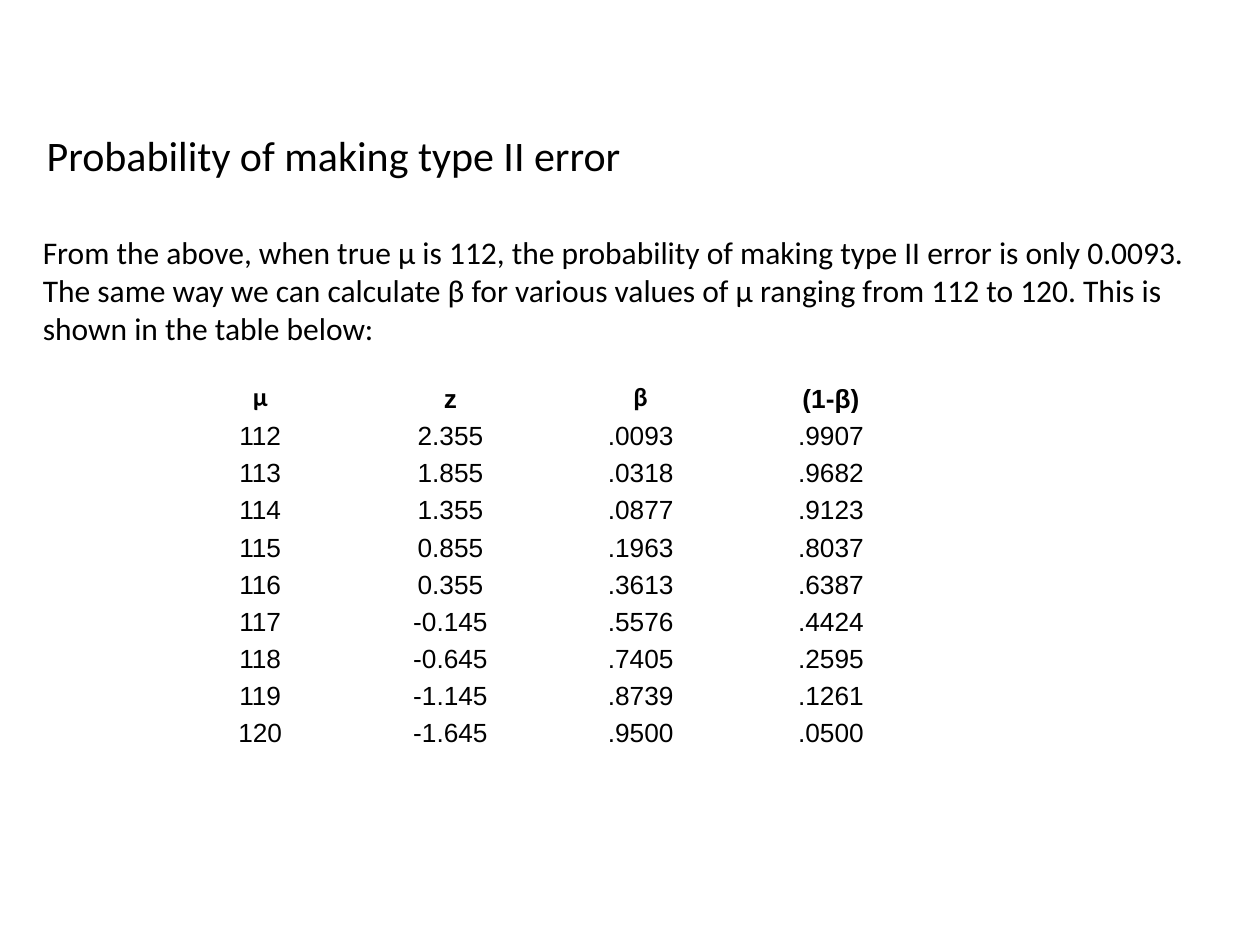
import pptx
import pptx.dml.color
import pptx.enum.text
import pptx.oxml
import pptx.oxml.ns
import pptx.util

Inches, Pt = pptx.util.Inches, pptx.util.Pt
ALIGN, ANCHOR = pptx.enum.text.PP_ALIGN, pptx.enum.text.MSO_ANCHOR
COLORS = {"text": "000000", "border": "FFFFFF"}

TITLE = "Probability of making type II error"
EXPLANATION = (
    "From the above, when true μ is 112, the probability of making type II error is only 0.0093. "
    "The same way we can calculate β for various values of μ ranging from 112 to 120. "
    "This is shown in the table below:"
)
HEADINGS = [("μ", "Calibri"), ("z", "Arial"), ("β", "Calibri"), ("(1-β)", "Arial")]
ERROR_RATES = [
    ("112", "2.355", ".0093", ".9907"),
    ("113", "1.855", ".0318", ".9682"),
    ("114", "1.355", ".0877", ".9123"),
    ("115", "0.855", ".1963", ".8037"),
    ("116", "0.355", ".3613", ".6387"),
    ("117", "-0.145", ".5576", ".4424"),
    ("118", "-0.645", ".7405", ".2595"),
    ("119", "-1.145", ".8739", ".1261"),
    ("120", "-1.645", ".9500", ".0500"),
]
COLUMN_WIDTH, ROW_HEIGHT = Inches(1.51), Inches(0.295)

CELL_FORMAT = {
    "margin_left": Inches(0.06), "margin_right": Inches(0.06),
    "margin_top": 0, "margin_bottom": 0, "vertical_anchor": ANCHOR.BOTTOM,
}
EXPLANATION_FORMAT = {
    "margin_left": Inches(0.07), "margin_right": Inches(0.07),
    "margin_top": Inches(0.04), "margin_bottom": Inches(0.04),
    "vertical_anchor": ANCHOR.MIDDLE, "word_wrap": True,
}
TITLE_FORMAT = {
    "vertical_anchor": ANCHOR.MIDDLE, "word_wrap": True,
    "auto_size": pptx.enum.text.MSO_AUTO_SIZE.NONE,
}


def apply_format(target, values):
    for name, value in values.items():
        setattr(target, name, value)


def write(frame, text, size, font="Calibri", bold=False, align=ALIGN.LEFT, spacing=1.0):
    paragraph = frame.paragraphs[0]
    apply_format(paragraph, {"alignment": align, "line_spacing": spacing})
    run = paragraph.add_run()
    run.text = text
    apply_format(run.font, {"name": font, "size": Pt(size), "bold": bold})
    run.font.color.rgb = pptx.dml.color.RGBColor.from_string(COLORS["text"])


def add_borders(cell):
    properties = cell._tc.get_or_add_tcPr()
    for side in ("lnL", "lnR", "lnT", "lnB"):
        properties.append(pptx.oxml.parse_xml(
            f'<a:{side} {pptx.oxml.ns.nsdecls("a")} w="{Pt(1)}"><a:solidFill>'
            f'<a:srgbClr val="{COLORS["border"]}"/></a:solidFill></a:{side}>'))


def fill_cell(cell, text, font="Arial", bold=False):
    apply_format(cell, CELL_FORMAT)
    write(cell.text_frame, text, 15, font, bold, ALIGN.CENTER, 1.07)
    add_borders(cell)
    cell.fill.background()


deck = pptx.Presentation()
apply_format(deck, {"slide_width": Inches(10), "slide_height": Inches(7.5)})
slide = deck.slides.add_slide(deck.slide_layouts.get_by_name("Title Only"))

title = slide.shapes.title
apply_format(title, {"left": Inches(0.27), "top": Inches(0.97),
                     "width": Inches(7.5), "height": Inches(0.52)})
apply_format(title.text_frame, TITLE_FORMAT)
write(title.text_frame, TITLE, 24)

row_count, column_count = len(ERROR_RATES) + 1, len(HEADINGS)
rates = slide.shapes.add_table(
    row_count, column_count, Inches(1.31), Inches(2.99),
    COLUMN_WIDTH * column_count, ROW_HEIGHT * row_count).table
apply_format(rates, {"first_row": False, "horz_banding": False})
for column, (heading, font) in enumerate(HEADINGS):
    fill_cell(rates.cell(0, column), heading, font, bold=True)
for row, values in enumerate(ERROR_RATES, start=1):
    for column, value in enumerate(values):
        fill_cell(rates.cell(row, column), value)

explanation = slide.shapes.add_textbox(Inches(0.27), Inches(1.81), Inches(9.37), Inches(0.98))
apply_format(explanation.text_frame, EXPLANATION_FORMAT)
write(explanation.text_frame, EXPLANATION, 18)

deck.save("out.pptx")
